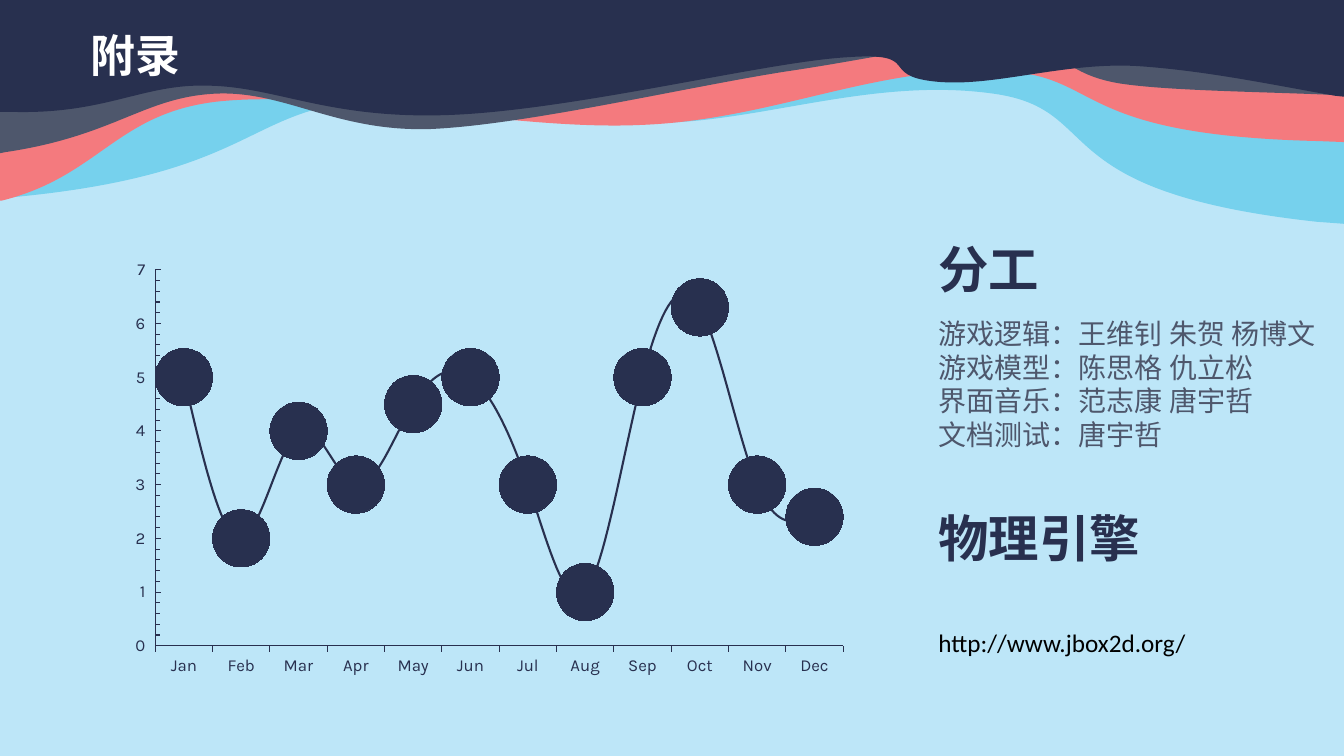
from lxml import etree
from pptx import Presentation
from pptx.chart.data import CategoryChartData
from pptx.dml.color import RGBColor
from pptx.enum.chart import XL_CHART_TYPE, XL_MARKER_STYLE, XL_TICK_LABEL_POSITION, XL_TICK_MARK
from pptx.oxml import parse_xml
from pptx.oxml.ns import nsdecls, qn
from pptx.util import Inches, Pt

LINE_CHART = XL_CHART_TYPE.LINE_MARKERS_STACKED
CIRCLE = XL_MARKER_STYLE.CIRCLE
LABELS_LOW = XL_TICK_LABEL_POSITION.LOW
TICK_IN, TICK_OUT = XL_TICK_MARK.INSIDE, XL_TICK_MARK.OUTSIDE

PALE = RGBColor(0xBD, 0xE6, 0xF8)
SKY = RGBColor(0x76, 0xD1, 0xED)
CORAL = RGBColor(0xF4, 0x7A, 0x7E)
SLATE = RGBColor(0x4E, 0x57, 0x6C)
NAVY = RGBColor(0x28, 0x30, 0x4F)
WHITE = RGBColor(0xFF, 0xFF, 0xFF)
BLACK = RGBColor(0, 0, 0)
CJK_FONT = "Noto Sans CJK SC"

# Each wave: colour, then points; 2 numbers are a line end, 6 a Bezier curve.
WAVES = [
    (SKY, [(0.03, 0), (13.33, 0), (13.33, 2.22), (13.06, 2.2),
           (10.31, 1.9, 10.98, 1.09, 9.86, 0.93),
           (8.67, 0.76, 7.56, 1.21, 6.51, 1.22),
           (5.45, 1.24, 4.73, 0.88, 3.52, 1.01),
           (2.46, 1.13, 2.43, 1.71, 0.29, 1.94), (0, 1.97), (0, 0.15)]),
    (CORAL, [(0.03, 0.25), (13.3, 0.25), (13.33, 0.35), (13.33, 1.41), (13.08, 1.4),
             (10.54, 1.34, 10.97, 0.72, 9.84, 0.7),
             (8.63, 0.67, 7.65, 1.19, 6.36, 1.24),
             (5.08, 1.3, 3.27, 0.88, 2.14, 1.01),
             (1.15, 1.13, 0.98, 1.75, 0.02, 1.99), (0, 1.99), (0, 0.37)]),
    (SLATE, [(0, 1.52), (0.05, 1.51),
             (1.13, 1.35, 1.42, 0.97, 2.12, 0.93),
             (2.82, 0.89, 3.32, 1.31, 4.27, 1.28),
             (5.21, 1.24, 6.83, 0.86, 7.79, 0.71),
             (8.74, 0.57, 9.44, 0.39, 10, 0.41),
             (10.55, 0.43, 10.49, 0.73, 11.12, 0.83),
             (11.59, 0.9, 12.49, 0.91, 13.18, 0.94),
             (13.33, 0.95), (13.33, 0.17), (0, 0.17)]),
    (NAVY, [(4.48, 1.14),
            (5.7, 1.09, 7.58, 0.62, 8.38, 0.57),
            (9.18, 0.51, 8.69, 0.75, 9.28, 0.81),
            (9.87, 0.87, 10.58, 0.6, 11.34, 0.66),
            (12, 0.71, 12.61, 0.84, 13.24, 0.95),
            (13.33, 0.96), (13.33, 0), (0, 0), (0, 1.11), (0.1, 1.11),
            (1.05, 1.14, 1.41, 0.83, 2.06, 0.85),
            (2.75, 0.86, 3.26, 1.19, 4.48, 1.14)]),
]


def add_wave(color, segments):
    """Draw an outline through the segment ends, then bend its curved segments."""
    ends = [(Inches(seg[-2]), Inches(seg[-1])) for seg in segments]
    builder = slide.shapes.build_freeform(*ends[0])
    builder.add_line_segments(ends[1:], close=True)
    sp = builder.convert_to_shape()
    sp.shadow.inherit = False
    sp.fill.solid()
    sp.fill.fore_color.rgb = color
    sp.line.fill.background()
    lines = list(sp._element.iter(qn("a:lnTo")))
    for line, seg in zip(lines, segments[1:]):
        if len(seg) == 6:
            line.tag = qn("a:cubicBezTo")
            for i in (0, 1):
                x, y = Inches(seg[2 * i]) - sp.left, Inches(seg[2 * i + 1]) - sp.top
                pt = etree.Element(qn("a:pt"), x=str(x), y=str(y))
                line.insert(i, pt)


def add_text(box, lines):
    """Add a text box; each line is text, style and space before in points."""
    tf = slide.shapes.add_textbox(*map(Inches, box)).text_frame
    tf.word_wrap = True
    for i, (text, style, gap) in enumerate(lines):
        p = tf.paragraphs[0] if i == 0 else tf.add_paragraph()
        p.line_spacing = Pt(round(style["size"].pt * 1.2, 1))
        p.space_before = Pt(gap)
        r = p.add_run()
        r.text = text
        for name, value in style.items():
            if name == "color":
                r.font.color.rgb = value
            else:
                setattr(r.font, name, value)
        etree.SubElement(r._r.get_or_add_rPr(), qn("a:ea"), typeface=CJK_FONT)


prs = Presentation()
prs.slide_width, prs.slide_height = Inches(13.33), Inches(7.5)
slide = prs.slides.add_slide(prs.slide_layouts[6])
slide.background.fill.solid()
slide.background.fill.fore_color.rgb = PALE

for color, segments in WAVES:
    add_wave(color, segments)

# Chart
data = CategoryChartData()
data.categories = ["Jan", "Feb", "Mar", "Apr", "May", "Jun",
                   "Jul", "Aug", "Sep", "Oct", "Nov", "Dec"]
data.add_series("Series 1", [5, 2, 4, 3, 4.5, 5, 3, 1, 5, 6.3, 3, 2.4])
chart_box = map(Inches, (0.91, 1.68, 7.59, 5.36))
chart = slide.shapes.add_chart(LINE_CHART, *chart_box, data).chart
chart.has_legend = chart.has_title = False
chart.font.name, chart.font.size = "Calibri", Pt(18)
chart.plots[0].vary_by_categories = False

series = chart.plots[0].series[0]
series.smooth = True
series.format.line.color.rgb = NAVY
series.format.line.width = Pt(1.5)
marker = series.marker
marker.style, marker.size = CIRCLE, 41
marker.format.fill.solid()
marker.format.fill.fore_color.rgb = SKY
marker.format.line.fill.background()

AXES = [
    (chart.category_axis, {"major_tick_mark": TICK_OUT}),
    (chart.value_axis, {"major_tick_mark": TICK_IN, "minor_tick_mark": TICK_IN,
                        "minimum_scale": 0, "maximum_scale": 7,
                        "major_unit": 1, "minor_unit": 0.2,
                        "tick_label_position": LABELS_LOW}),
]
for axis, settings in AXES:
    axis.has_major_gridlines = False
    for name, value in settings.items():
        setattr(axis, name, value)
    font = axis.tick_labels.font
    font.name, font.size, font.color.rgb = "Karla", Pt(12), NAVY
    axis.format.line.color.rgb = NAVY
    axis.format.line.width = Pt(0.75)

plot_area = chart._chartSpace.chart.plotArea
for old in plot_area.findall(qn("c:layout")):
    plot_area.remove(old)
plot_area.insert(0, parse_xml(
    f'<c:layout {nsdecls("c")}><c:manualLayout><c:layoutTarget val="inner"/>'
    '<c:xMode val="edge"/><c:yMode val="edge"/><c:x val="0.083"/><c:y val="0.186"/>'
    '<c:w val="0.899"/><c:h val="0.696"/></c:manualLayout></c:layout>'))

# Texts
title = {"size": Pt(32), "bold": True, "name": CJK_FONT, "color": WHITE}
heading = {"size": Pt(36), "bold": True, "name": CJK_FONT, "color": NAVY}
body = {"size": Pt(20), "name": "Roboto", "color": SLATE}
address = {"size": Pt(18), "name": "Calibri", "color": BLACK}
tasks = ["游戏逻辑：王维钊 朱贺 杨博文", "游戏模型：陈思格 仇立松",
         "界面音乐：范志康 唐宇哲", "文档测试：唐宇哲"]

add_text((0.8, 0.23, 5.87, 0.64), [("附录", title, 0)])
add_text((9.21, 3.09, 4.01, 1.45), [(task, body, 0) for task in tasks])
add_text((9.21, 2.31, 3.9, 0.71), [("分工", heading, 0)])
add_text((9.21, 4.98, 3.53, 1.62),
         [("物理引擎", heading, 0), ("http://www.jbox2d.org/", address, 43)])

prs.save("out.pptx")
